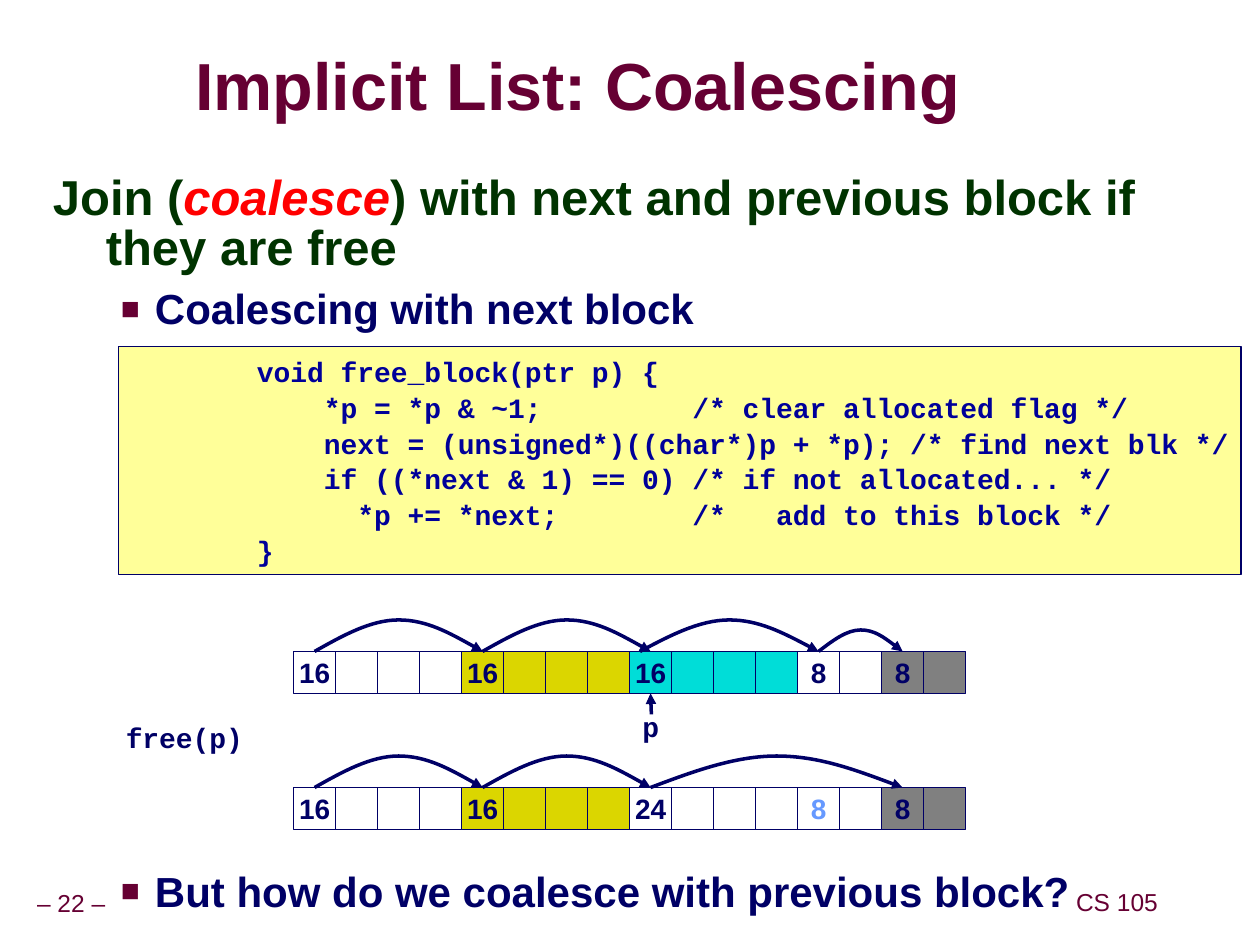
from lxml import etree
from pptx import Presentation
from pptx.dml.color import RGBColor
from pptx.enum import shapes, text
from pptx.oxml import ns
from pptx.util import Inches, Pt

C = {"maroon": "660033", "green": "003300", "red": "FF0000", "navy": "000066",
     "code": "000099", "paper": "FFFF99", "white": "FFFFFF", "yellow": "DBD600",
     "cyan": "00DDD8", "gray": "808080", "faded": "6699FF"}

CELL = 1 / 3
HEAP_LEFT = 2.33
BEFORE_TOP, AFTER_TOP = 5.17, 6.25

CODE = """void free_block(ptr p) {
    *p = *p & ~1;         /* clear allocated flag */
    next = (unsigned*)((char*)p + *p); /* find next blk */
    if ((*next & 1) == 0) /* if not allocated... */
      *p += *next;        /*   add to this block */
}"""

# Blocks: label, number of cells, fill, label colour
BEFORE = [("16", 4, "white", "navy"), ("16", 4, "yellow", "navy"),
          ("16", 4, "cyan", "navy"), ("8", 2, "white", "navy"),
          ("8", 2, "gray", "navy")]
AFTER = [("16", 4, "white", "navy"), ("16", 4, "yellow", "navy"),
         ("24", 4, "white", "navy"), ("8", 2, "white", "faded"),
         ("8", 2, "gray", "navy")]
# Arcs: start and end in cell widths, height in inches
BEFORE_ARCS = [(0.5, 4.5, 0.25), (4.5, 8.5, 0.25), (8.25, 12.5, 0.25),
               (12.5, 14.5, 0.17)]
AFTER_ARCS = [(0.5, 4.5, 0.25), (4.5, 8.5, 0.25), (8.5, 14.5, 0.25)]


def rgb(name):
    return RGBColor.from_string(C[name])


def sub(parent, tag, **attrs):
    return etree.SubElement(parent, ns.qn(tag), attrs)


def set_attrs(obj, values):
    for key, value in values.items():
        setattr(obj, key, value)


def style_run(r, color, size, name="Arial", bold=True, italic=False):
    set_attrs(r.font, {"size": Pt(size), "name": name, "bold": bold, "italic": italic})
    r.font.color.rgb = rgb(color)


def add_run(p, words, color, size, **fmt):
    r = p.add_run()
    r.text = words
    style_run(r, color, size, **fmt)
    return r


def set_frame(tf, x=0.1, y=0.05, wrap=True, anchor=text.MSO_ANCHOR.TOP):
    set_attrs(tf, {"margin_left": Inches(x), "margin_right": Inches(x),
                   "margin_top": Inches(y), "margin_bottom": Inches(y),
                   "auto_size": text.MSO_AUTO_SIZE.NONE,
                   "word_wrap": wrap, "vertical_anchor": anchor})


def place(sp, left, top, width, height):
    set_attrs(sp, {"left": Inches(left), "top": Inches(top),
                   "width": Inches(width), "height": Inches(height)})


def format_par(p, margin, indent, line, before, bullet=False):
    set_attrs(p, {"line_spacing": line, "space_before": Pt(before),
                  "alignment": text.PP_ALIGN.LEFT})
    pPr = p._p.get_or_add_pPr()
    pPr.set("marL", str(Inches(margin)))
    pPr.set("indent", str(Inches(indent)))
    if bullet:
        sub(sub(pPr, "a:buClr"), "a:srgbClr", val=C["maroon"])
        sub(pPr, "a:buSzPct", val="75000")
        sub(pPr, "a:buFont", typeface="Arial")
        sub(pPr, "a:buChar", char="■")
    else:
        sub(pPr, "a:buNone")


def add_label(s, words, box, color, size, align=text.PP_ALIGN.LEFT, **fmt):
    sp = s.shapes.add_textbox(*map(Inches, box))
    set_frame(sp.text_frame, wrap=False)
    p = sp.text_frame.paragraphs[0]
    p.alignment = align
    add_run(p, words, color, size, **fmt)


def add_box(s, box, fill, width):
    sp = s.shapes.add_shape(shapes.MSO_SHAPE.RECTANGLE, *map(Inches, box))
    sp.shadow.inherit = False
    sp.fill.solid()
    sp.fill.fore_color.rgb = rgb(fill)
    sp.line.color.rgb = rgb("navy")
    sp.line.width = Pt(width)
    return sp


def add_heap(s, top, blocks):
    """Draw the blocks as a row of cells and return the first cell of each."""
    heads, col = [], 0
    for label, count, fill, color in blocks:
        cells = [add_box(s, (HEAP_LEFT + (col + i) * CELL, top, CELL, CELL), fill, 0.25)
                 for i in range(count)]
        tf = cells[0].text_frame
        set_frame(tf, wrap=False, anchor=text.MSO_ANCHOR.MIDDLE)
        tf.paragraphs[0].alignment = text.PP_ALIGN.CENTER
        add_run(tf.paragraphs[0], label, color, 16)
        heads.append(cells[0])
        col += count
    return heads


def style_arrow(sp):
    sp.line.color.rgb = rgb("navy")
    sp.line.width = Pt(2)
    sub(sp.line._get_or_add_ln(), "a:tailEnd", type="triangle")


def add_arc(s, top, start, end, height):
    x, w = HEAP_LEFT + start * CELL, (end - start) * CELL
    knots = [(1 / 6, 0.5), (1 / 3, 1), (1 / 2, 1), (2 / 3, 1), (5 / 6, 0.5), (1, 0)]
    fb = s.shapes.build_freeform(Inches(x), Inches(top))
    fb.add_line_segments([(Inches(x + a * w), Inches(top - b * height))
                          for a, b in knots], close=False)
    sp = fb.convert_to_shape()
    # Turn each three line points into one cubic curve
    lines = list(sp._element.iter(ns.qn("a:lnTo")))
    path = lines[0].getparent()
    for i in range(0, len(lines), 3):
        curve = sub(path, "a:cubicBezTo")
        for line in lines[i:i + 3]:
            curve.append(line[0])
            path.remove(line)
    sp.shadow.inherit = False
    sp.fill.background()
    style_arrow(sp)


def add_title(s):
    sp = s.shapes.title
    place(sp, 1.55, 0.38, 6.34, 0.67)
    set_frame(sp.text_frame, 0, 0, anchor=text.MSO_ANCHOR.MIDDLE)
    p = sp.text_frame.paragraphs[0]
    set_attrs(p, {"alignment": text.PP_ALIGN.LEFT, "line_spacing": 0.87})
    r = add_run(p, "Implicit List: Coalescing", "maroon", 38)
    effects = etree.Element(ns.qn("a:effectLst"))
    shadow = sub(effects, "a:outerShdw", dist="38100", dir="2700000")
    sub(shadow, "a:srgbClr", val=C["gray"])
    r.font.fill._xPr.find(ns.qn("a:solidFill")).addnext(effects)


def add_body(s):
    sp = s.placeholders[1]
    place(sp, 0.32, 1.34, 9.09, 6)
    tf = sp.text_frame
    set_frame(tf)
    p = tf.paragraphs[0]
    format_par(p, 0.42, -0.42, 0.85, 17.5)
    add_run(p, "Join (", "green", 28)
    add_run(p, "coalesce", "red", 28, italic=True)
    add_run(p, ") with next and previous block if they are free", "green", 28)
    # The second point stands below the code and the diagram
    for words, before in (("Coalescing with next block", 7.5),
                          ("But how do we coalesce with previous block?", 307)):
        p = tf.add_paragraph()
        p.level = 1
        format_par(p, 0.81, -0.27, 0.9, before, bullet=True)
        add_run(p, words, "navy", 24)


def add_code(s):
    sp = add_box(s, (0.94, 2.75, 8.91, 1.81), "paper", 1)
    set_frame(sp.text_frame, wrap=False)
    p = sp.text_frame.paragraphs[0]
    p.text = CODE
    format_par(p, 1, 0, Pt(20.4), 2)
    for r in p.runs:
        style_run(r, "code", 16, name="Courier New")


def main():
    prs = Presentation()
    prs.slide_width, prs.slide_height = Inches(10), Inches(7.5)
    s = prs.slides.add_slide(prs.slide_layouts[1])
    add_title(s)
    add_body(s)
    add_code(s)

    # Heap before and after the call
    heads = add_heap(s, BEFORE_TOP, BEFORE)
    add_heap(s, AFTER_TOP, AFTER)
    for top, arcs in ((BEFORE_TOP, BEFORE_ARCS), (AFTER_TOP, AFTER_ARCS)):
        for arc in arcs:
            add_arc(s, top, *arc)

    # Pointer p and the call
    add_label(s, "free(p)", (0.9, 5.67, 1.13, 0.37), "navy", 16, name="Courier New")
    add_label(s, "p", (5, 5.58, 0.33, 0.37), "navy", 16, name="Courier New")
    pointer = s.shapes.add_connector(shapes.MSO_CONNECTOR.STRAIGHT, Inches(5.17),
                                     Inches(5.67), Inches(5.17), Inches(5.5))
    pointer.end_connect(heads[2], 2)
    style_arrow(pointer)
    sub(pointer._element.spPr, "a:effectLst")

    # Footer
    for words, box in (("– 22 –", (-0.09, 7, 1.31, 0.31)),
                       ("CS 105", (8.49, 6.99, 0.75, 0.31))):
        add_label(s, words, box, "maroon", 14, align=text.PP_ALIGN.CENTER, bold=False)
    prs.save("out.pptx")


if __name__ == "__main__":
    main()
